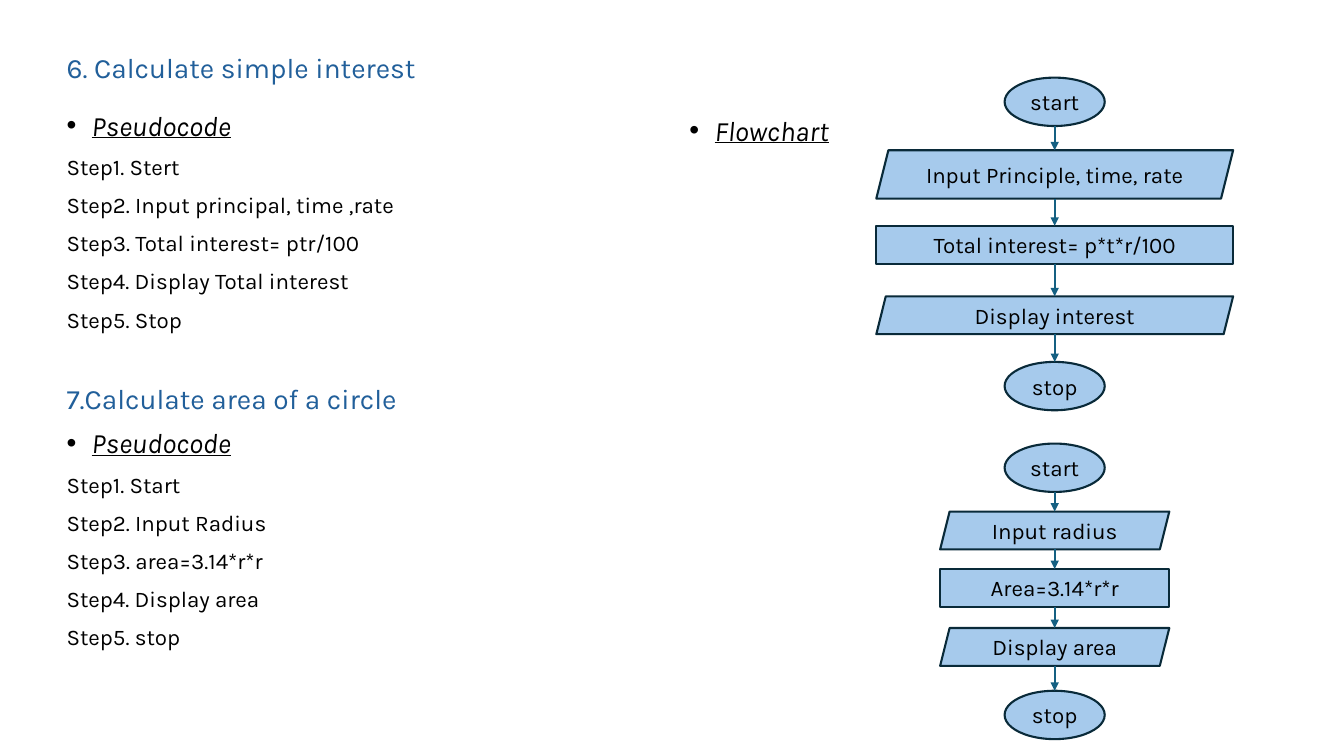
from lxml.etree import SubElement
from pptx import Presentation
from pptx.dml.color import RGBColor
from pptx.enum.shapes import MSO_CONNECTOR as Connector, MSO_SHAPE as Shape
from pptx.enum.text import MSO_ANCHOR as Anchor, MSO_AUTO_SIZE as AutoSize, PP_ALIGN as Align
from pptx.oxml.ns import qn
from pptx.util import Inches, Pt

WIDTH, HEIGHT = Inches(13.33), Inches(7.5)
FONT = "Karla"
BLACK, HEADING = "000000", "215F9A"
NODE_FILL, NODE_LINE, ARROW = "A6CAEC", "092A39", "156082"
TERMINAL_WIDTH = 7.45
TERMINAL, INPUT_OUTPUT, PROCESS = Shape.OVAL, Shape.PARALLELOGRAM, Shape.RECTANGLE


def cols(count):
    return round(WIDTH * count / 100)


def rows(count):
    return round(HEIGHT * count / 100)


def color(hex_string):
    return RGBColor.from_string(hex_string)


def write(paragraph, text, size=16, ink=BLACK, bullet=False, emphasis=False,
          align=Align.LEFT, before=0, spacing=None):
    properties = paragraph._p.get_or_add_pPr()
    properties.set("marL", str(Inches(0.25) if bullet else 0))
    properties.set("indent", str(Inches(-0.25) if bullet else 0))
    if bullet:
        SubElement(properties, qn("a:buFont")).set("typeface", "Arial")
        SubElement(properties, qn("a:buChar")).set("char", "•")
    else:
        SubElement(properties, qn("a:buNone"))
    paragraph.alignment = align
    paragraph.space_before = Pt(before)
    if spacing:
        paragraph.line_spacing = spacing
    run = paragraph.add_run()
    run.text = text
    run.font.name = FONT
    run.font.size = Pt(size)
    run.font.color.rgb = color(ink)
    run.font.italic = emphasis
    run.font.underline = emphasis


def fill_placeholder(placeholder, box, lines, anchor=Anchor.TOP):
    left, top, width, height = box
    placeholder.left, placeholder.top = cols(left), rows(top)
    placeholder.width, placeholder.height = cols(width), rows(height)
    frame = placeholder.text_frame
    frame.word_wrap = True
    frame.auto_size = AutoSize.NONE
    frame.vertical_anchor = anchor
    for number, (text, style) in enumerate(lines):
        paragraph = frame.add_paragraph() if number else frame.paragraphs[0]
        before = style.get("before", 10) if number else 0
        write(paragraph, text, **{**style, "before": before, "spacing": 0.9})


def add_node(slide, kind, box, text):
    node = slide.shapes.add_shape(kind, *box)
    node.shadow.inherit = False
    node.fill.solid()
    node.fill.fore_color.rgb = color(NODE_FILL)
    node.line.color.rgb = color(NODE_LINE)
    node.line.width = Pt(1.5)
    node.text_frame.word_wrap = True
    node.text_frame.vertical_anchor = Anchor.MIDDLE
    write(node.text_frame.paragraphs[0], text, align=Align.CENTER)
    return node


def add_arrow(slide, center, upper, lower):
    arrow = slide.shapes.add_connector(
        Connector.STRAIGHT, center, upper.top + upper.height, center, lower.top)
    if upper.auto_shape_type == PROCESS:
        arrow.begin_connect(upper, 2)
    if lower.auto_shape_type == PROCESS:
        arrow.end_connect(lower, 0)
    arrow.line.color.rgb = color(ARROW)
    arrow.line.width = Pt(1.5)
    line = arrow.line._get_or_add_ln()
    SubElement(line, qn("a:tailEnd")).set("type", "triangle")
    SubElement(arrow._element.spPr, qn("a:effectLst"))


def add_flowchart(slide, left, top, width, steps):
    center = cols(left + width / 2)
    previous = None
    for kind, text, height, gap in steps:
        node_width = cols(TERMINAL_WIDTH if kind == TERMINAL else width)
        box = (center - node_width // 2, rows(top), node_width, rows(height))
        node = add_node(slide, kind, box, text)
        if previous is not None:
            add_arrow(slide, center, previous, node)
        previous = node
        top += height + gap


def build_slide(deck):
    slide = deck.slides.add_slide(deck.slide_layouts[3])
    title, pseudocode, flowchart = slide.placeholders
    heading = {"size": 20, "ink": HEADING}
    label = {"size": 20, "bullet": True, "emphasis": True}
    interest_steps = ["Step1. Stert", "Step2. Input principal, time ,rate",
                      "Step3. Total interest= ptr/100",
                      "Step4. Display Total interest", "Step5. Stop"]
    area_steps = ["Step1. Start", "Step2. Input Radius", "Step3. area=3.14*r*r",
                  "Step4. Display area", "Step5. stop"]

    fill_placeholder(title, (4.2, 5.33, 88.9, 7.6),
                     [("6. Calculate simple interest", heading)], Anchor.MIDDLE)
    fill_placeholder(pseudocode, (4.2, 14.13, 45.15, 84.93), [
        ("Pseudocode", label),
        *((step, {}) for step in interest_steps),
        ("7.Calculate area of a circle", {**heading, "before": 37.3}),
        ("Pseudocode", label),
        *((step, {}) for step in area_steps),
    ])
    fill_placeholder(flowchart, (50.55, 14.8, 42.55, 73.87), [("Flowchart", label)])

    add_flowchart(slide, 65.2, 10.27, 26.55, [
        (TERMINAL, "start", 6.4, 3.2),
        (INPUT_OUTPUT, "Input Principle, time, rate", 6.4, 3.6),
        (PROCESS, "Total interest= p*t*r/100", 5, 4.33),
        (INPUT_OUTPUT, "Display interest", 5, 3.67),
        (TERMINAL, "stop", 6.4, 0),
    ])
    add_flowchart(slide, 69.95, 58.67, 17.05, [
        (TERMINAL, "start", 6.4, 2.6),
        (INPUT_OUTPUT, "Input radius", 5, 2.6),
        (PROCESS, "Area=3.14*r*r", 5, 2.8),
        (INPUT_OUTPUT, "Display area", 5, 3.3),
        (TERMINAL, "stop", 6.4, 0),
    ])


def main():
    deck = Presentation()
    deck.slide_width, deck.slide_height = WIDTH, HEIGHT
    build_slide(deck)
    deck.save("out.pptx")


if __name__ == "__main__":
    main()
